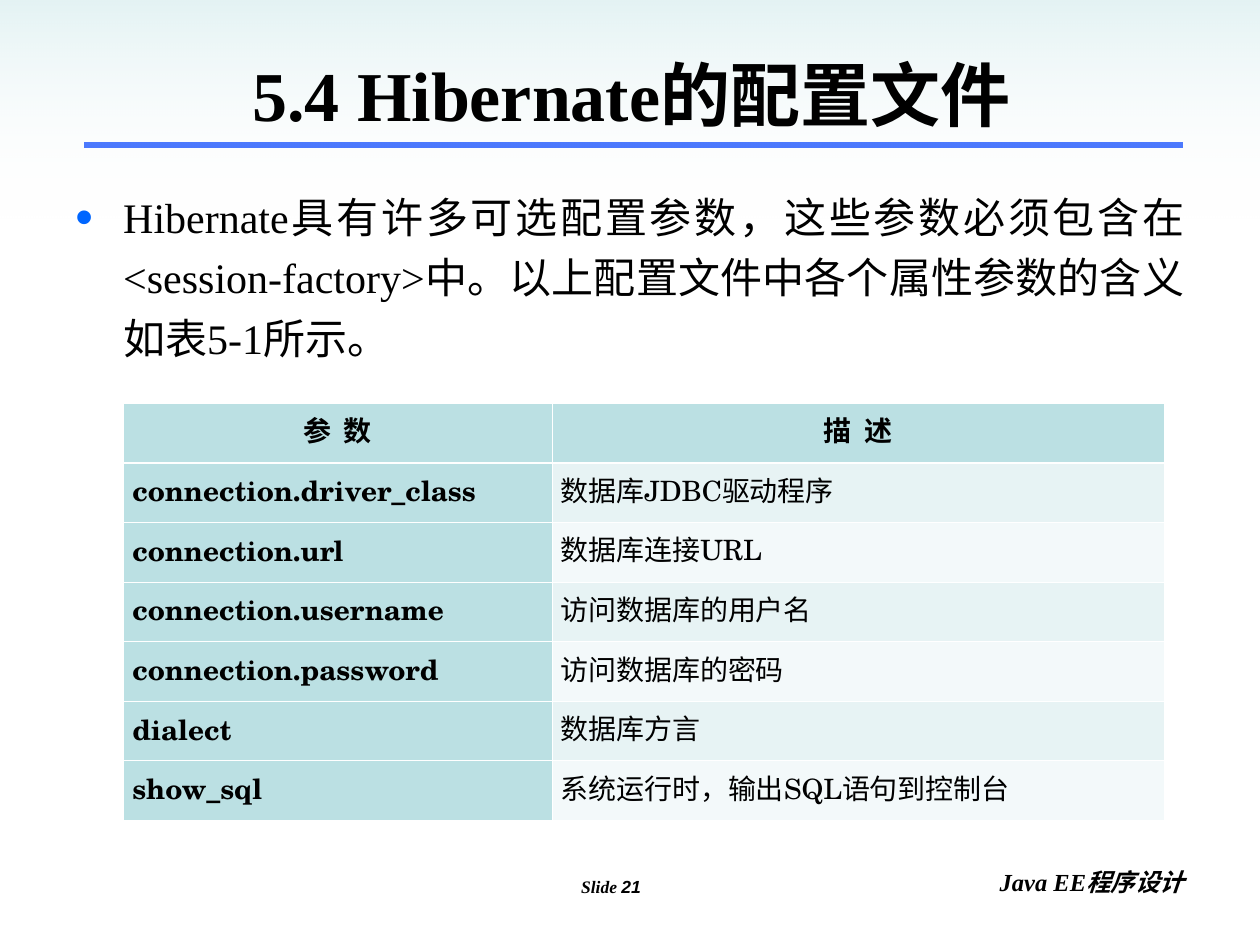
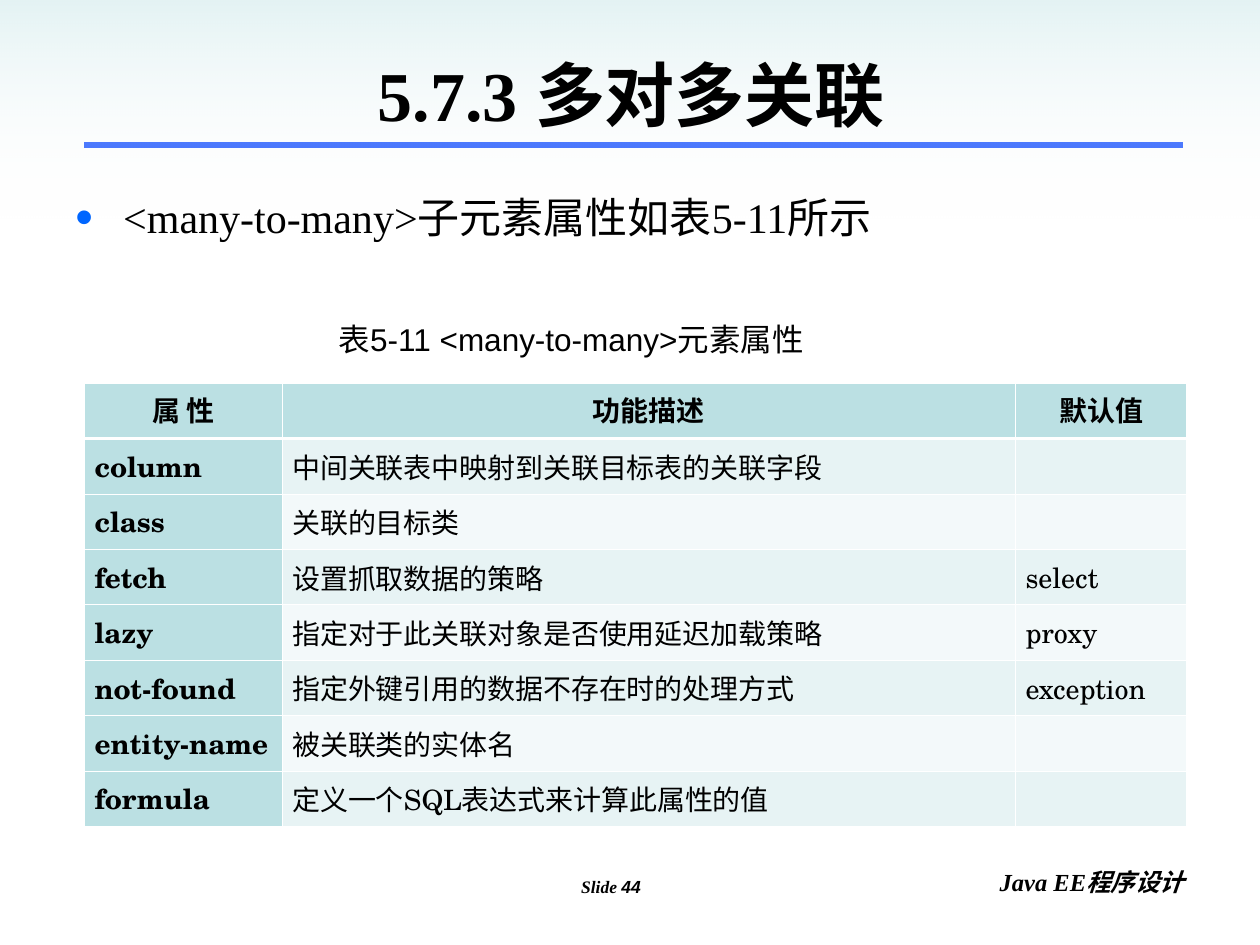
import dataclasses

import lxml.etree
import pptx
import pptx.dml.color
import pptx.enum.dml
import pptx.enum.shapes
import pptx.enum.text
import pptx.oxml.ns
import pptx.util

Inches = pptx.util.Inches
Pt = pptx.util.Pt
qn = pptx.oxml.ns.qn
Align = pptx.enum.text.PP_ALIGN
Anchor = pptx.enum.text.MSO_ANCHOR


@dataclasses.dataclass(frozen=True)
class Theme:
    # Colours
    ink: str = "000000"
    paper: str = "FFFFFF"
    teal: str = "BBE0E3"
    odd_row: str = "E7F3F4"
    even_row: str = "F3F9FA"
    rule: str = "3366FF"
    bullet: str = "0066FF"
    # Fonts
    serif: str = "Times New Roman"
    sans: str = "Arial"
    table_font: str = "TeX Gyre Schola"
    # Type sizes
    title: int = 40
    body: int = 24
    caption: int = 18
    cell: int = 16
    course: int = 14
    number: int = 10
    # Table lines
    thin: float = 0.45
    thick: float = 1.47


THEME = Theme()


def rgb(value):
    return pptx.dml.color.RGBColor.from_string(value)


def add_xml(parent, tag, **attributes):
    return lxml.etree.SubElement(parent, qn(tag), attributes)


def style_font(paragraph, size, name=THEME.serif, bold=False, italic=False):
    font = paragraph.font
    font.size, font.name = Pt(size), name
    font.bold, font.italic = bold, italic
    font.color.rgb = rgb(THEME.ink)


def add_text(slide, box, text, size, align=Align.LEFT, anchor=Anchor.TOP,
             wrap=True, **font):
    frame = slide.shapes.add_textbox(*map(Inches, box)).text_frame
    frame.word_wrap = wrap
    frame.vertical_anchor = anchor
    paragraph = frame.paragraphs[0]
    paragraph.text = text
    paragraph.alignment = align
    style_font(paragraph, size, **font)
    return frame


# Parts shared by every slide

def add_footer(slide, number):
    slide_number = add_text(slide, (3.82, 6.9, 2.33, 0.52), "Slide ", THEME.number,
                            Align.CENTER, bold=True, italic=True)
    slide_number.margin_right = Inches(0.37)
    digits = slide_number.paragraphs[0].add_run()
    digits.text = str(number)
    digits.font.name = THEME.sans
    add_text(slide, (7.17, 6.83, 2.33, 0.52), "Java EE程序设计", THEME.course,
             Align.RIGHT, bold=True, italic=True)


def add_title_rule(slide):
    rule = slide.shapes.add_connector(
        pptx.enum.shapes.MSO_CONNECTOR.STRAIGHT,
        Inches(0.67), Inches(1.15), Inches(9.39), Inches(1.15))
    rule.line.color.rgb = rgb(THEME.rule)
    rule.line.width = Pt(3)
    add_xml(rule._element.spPr, "a:effectLst")


def add_top_band(slide):
    band = slide.shapes.add_shape(pptx.enum.shapes.MSO_SHAPE.RECTANGLE,
                                  0, 0, Inches(10), Inches(1.75))
    band.shadow.inherit = False
    band.line.fill.background()
    band.fill.gradient()
    band.fill.gradient_angle = 270
    for stop, colour in zip(band.fill.gradient_stops, (THEME.teal, THEME.paper)):
        stop.color.rgb = rgb(colour)
    # The band fades from 40 % opacity to nothing
    colours = band._element.spPr.iter(qn("a:srgbClr"))
    for colour, opacity in zip(colours, (40, 0)):
        add_xml(colour, "a:alpha", val=str(opacity * 1000))


def add_page(deck, number, title):
    slide = deck.slides.add_slide(deck.slide_layouts[6])
    add_footer(slide, number)
    add_title_rule(slide)
    add_top_band(slide)
    add_text(slide, (0.51, 0.28, 9, 0.93), title, THEME.title,
             Align.CENTER, Anchor.MIDDLE, bold=True)
    return slide


# Content

def add_bullet(slide, text):
    paragraph = add_text(slide, (0.5, 1.39, 9, 5.31), text, THEME.body,
                         Align.JUSTIFY).paragraphs[0]
    paragraph.line_spacing = 1.2
    paragraph.space_before = Pt(6)
    properties = paragraph._p.get_or_add_pPr()
    properties.set("marL", str(Inches(0.38)))
    properties.set("indent", str(-Inches(0.38)))
    colour = add_xml(properties, "a:buClr")
    add_xml(colour, "a:srgbClr", val=THEME.bullet)
    add_xml(properties, "a:buSzPct", val="120000")
    add_xml(properties, "a:buFont", typeface=THEME.sans)
    add_xml(properties, "a:buChar", char="•")
    # Font defaults have to follow the bullet settings
    properties.append(properties.find(qn("a:defRPr")))


def add_borders(cell, top, bottom):
    properties = cell._tc.get_or_add_tcPr()
    widths = {"L": THEME.thin, "R": THEME.thin, "T": top, "B": bottom}
    for side, width in widths.items():
        line = add_xml(properties, f"a:ln{side}", w=str(Pt(width)))
        add_xml(add_xml(line, "a:solidFill"), "a:srgbClr", val=THEME.paper)


def fill_cell(cell, text, row, column, side_margin, body_anchor):
    header = row == 0
    add_borders(cell, THEME.thick if row == 1 else THEME.thin,
                THEME.thick if header else THEME.thin)
    stripe = THEME.odd_row if row % 2 else THEME.even_row
    cell.fill.solid()
    cell.fill.fore_color.rgb = rgb(THEME.teal if header or column == 0 else stripe)
    cell.margin_left = cell.margin_right = Inches(side_margin)
    cell.vertical_anchor = Anchor.TOP if header else body_anchor
    cell.text = text
    paragraph = cell.text_frame.paragraphs[0]
    paragraph.alignment = Align.CENTER if header else Align.JUSTIFY
    style_font(paragraph, THEME.cell, THEME.table_font, bold=header or column == 0)


def add_grid(slide, left, top, height, widths, rows, side_margin,
             body_anchor=Anchor.TOP):
    table = slide.shapes.add_table(
        len(rows), len(widths), Inches(left), Inches(top),
        Inches(sum(widths)), Inches(height)).table
    for column, width in zip(table.columns, widths):
        column.width = Inches(width)
    for r, texts in enumerate(rows):
        for c, text in enumerate(texts):
            fill_cell(table.cell(r, c), text, r, c, side_margin, body_anchor)


CONFIG_PARAMETERS = [
    ("参  数", "描  述"),
    ("connection.driver_class", "数据库JDBC驱动程序"),
    ("connection.url", "数据库连接URL"),
    ("connection.username", "访问数据库的用户名"),
    ("connection.password", "访问数据库的密码"),
    ("dialect", "数据库方言"),
    ("show_sql", "系统运行时，输出SQL语句到控制台"),
]

MANY_TO_MANY_ATTRIBUTES = [
    ("属 性", "功能描述", "默认值"),
    ("column", "中间关联表中映射到关联目标表的关联字段", ""),
    ("class", "关联的目标类", ""),
    ("fetch", "设置抓取数据的策略", "select"),
    ("lazy", "指定对于此关联对象是否使用延迟加载策略", "proxy"),
    ("not-found", "指定外键引用的数据不存在时的处理方式", "exception"),
    ("entity-name", "被关联类的实体名", ""),
    ("formula", "定义一个SQL表达式来计算此属性的值", ""),
]


def main():
    deck = pptx.Presentation()
    deck.slide_width, deck.slide_height = Inches(10), Inches(7.5)

    # Configuration file parameters
    config = add_page(deck, 21, "5.4 Hibernate的配置文件")
    add_bullet(config, "Hibernate具有许多可选配置参数，这些参数必须包含在"
                       "<session-factory>中。以上配置文件中各个属性参数的含义如表5-1所示。")
    add_grid(config, 0.98, 3.2, 3.31, (3.4, 4.86), CONFIG_PARAMETERS, 0.07)

    # Many-to-many association
    association = add_page(deck, 44, "5.7.3 多对多关联")
    add_bullet(association, "<many-to-many>子元素属性如表5-11所示")
    add_grid(association, 0.67, 3.04, 3.52, (1.57, 5.82, 1.36),
             MANY_TO_MANY_ATTRIBUTES, 0.08, Anchor.MIDDLE)
    add_text(association, (2.59, 2.49, 4.03, 0.4), "表5-11 <many-to-many>元素属性",
             THEME.caption, wrap=False, name=THEME.sans)

    deck.save("out.pptx")


if __name__ == "__main__":
    main()
